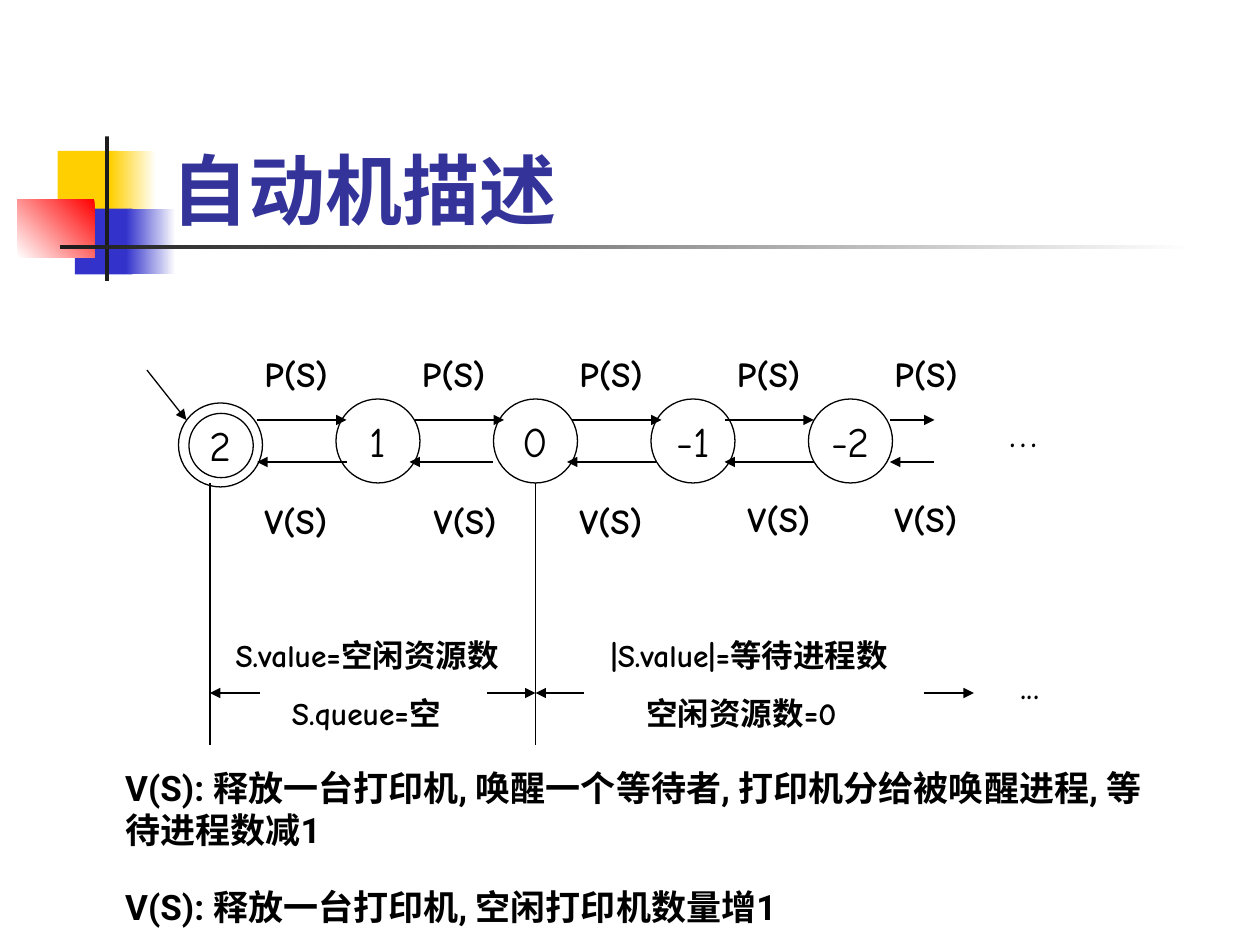
import lxml.etree
import pptx
import pptx.dml.color
import pptx.enum.shapes
import pptx.enum.text
import pptx.oxml.ns
import pptx.util

PX = 9525
BLACK = pptx.dml.color.RGBColor(0x00, 0x00, 0x00)
WHITE = pptx.dml.color.RGBColor(0xFF, 0xFF, 0xFF)
CHARCOAL = pptx.dml.color.RGBColor(0x1C, 0x1C, 0x1C)
YELLOW = pptx.dml.color.RGBColor(0xFF, 0xCF, 0x01)
BLUE = pptx.dml.color.RGBColor(0x33, 0x33, 0xCC)
RED = pptx.dml.color.RGBColor(0xFF, 0x00, 0x00)
INDIGO = pptx.dml.color.RGBColor(0x33, 0x33, 0x99)
HAND = "Comic Neue"
SANS = "Roboto"

ALIGN = pptx.enum.text.PP_ALIGN
ANCHOR = pptx.enum.text.MSO_ANCHOR
SHAPE = pptx.enum.shapes.MSO_SHAPE
qn = pptx.oxml.ns.qn


def emu(*lengths):
    return [pptx.util.Emu(n * PX) for n in lengths]


def write_text(tf, text, size=20, font=HAND, color=BLACK, bold=False,
               align=ALIGN.LEFT, anchor=ANCHOR.TOP, wrap=True, gap=0, indent=0):
    tf.word_wrap = wrap
    tf.vertical_anchor = anchor
    for i, line in enumerate(text.split("\n")):
        p = tf.add_paragraph() if i else tf.paragraphs[0]
        p.alignment = align
        if i:
            p.space_before = pptx.util.Pt(gap)
            p._p.get_or_add_pPr().set("marL", str(indent * PX))
        r = p.add_run()
        r.text = line
        r.font.size = pptx.util.Pt(size)
        r.font.bold = bold
        r.font.color.rgb = color
        r.font.name = font
        ea = lxml.etree.SubElement(r._r.get_or_add_rPr(), qn("a:ea"))
        ea.set("typeface", font)


class Board:
    line_width = pptx.util.Pt(0.75)

    def __init__(self, slide):
        self.s = slide

    def block(self, x, y, w, h, color, end=None, angle=180):
        sp = self.s.shapes.add_shape(SHAPE.RECTANGLE, *emu(x, y, w, h))
        sp.shadow.inherit = False
        sp.line.fill.background()
        if end is None:
            sp.fill.solid()
            sp.fill.fore_color.rgb = color
            return
        sp.fill.gradient()
        sp.fill.gradient_angle = angle
        for stop, position, rgb in zip(sp.fill.gradient_stops, (0, 1), (color, end)):
            stop.position = position
            stop.color.rgb = rgb

    def circle(self, x, y, d, text=None):
        sp = self.s.shapes.add_shape(SHAPE.OVAL, *emu(x, y, d, d))
        sp.shadow.inherit = False
        sp.fill.background()
        sp.line.color.rgb = BLACK
        sp.line.width = self.line_width
        if text:
            write_text(sp.text_frame, text, size=24, align=ALIGN.CENTER,
                       anchor=ANCHOR.MIDDLE, wrap=False)

    def text(self, x, y, w, h, text, **style):
        sp = self.s.shapes.add_textbox(*emu(x, y, w, h))
        write_text(sp.text_frame, text, **style)

    def line(self, x1, y1, x2, y2, arrow=True):
        cx = self.s.shapes.add_connector(
            pptx.enum.shapes.MSO_CONNECTOR.STRAIGHT, *emu(x1, y1, x2, y2))
        cx.line.color.rgb = BLACK
        cx.line.width = self.line_width
        if arrow:
            tail = lxml.etree.SubElement(cx.line._get_or_add_ln(), qn("a:tailEnd"))
            tail.set("type", "triangle")
        lxml.etree.SubElement(cx._element.spPr, qn("a:effectLst"))


def draw_header(board):
    board.block(44, 115, 46, 50, YELLOW)
    board.block(84, 115, 35, 50, WHITE, YELLOW)
    board.block(57, 159, 44, 50, BLUE)
    board.block(96, 159, 38, 50, WHITE, BLUE)
    board.block(13, 152, 59, 44, RED, WHITE, angle=225)
    board.block(80, 104, 3, 110, CHARCOAL)
    board.block(46, 187, 864, 3, WHITE, CHARCOAL)
    board.text(121, 64, 818, 120, "自动机描述", size=44, font=SANS,
               color=INDIGO, bold=True, anchor=ANCHOR.BOTTOM)


def draw_automaton(board):
    for i, state in enumerate(("2", "1", "0", "-1", "-2")):
        board.circle(136 + 120 * i, 304 if i else 307, 64, state)
    board.circle(144, 315, 49)
    board.line(112, 282, 142, 320)

    p_arrows = ((196, 264), (316, 384), (436, 504), (552, 620), (678, 712))
    v_arrows = ((264, 196), (376, 312), (500, 432), (620, 552), (712, 678))
    v_labels = ((192, 376), (321, 376), (432, 376), (560, 374), (672, 374))
    for i, (p_arrow, v_arrow, v_label) in enumerate(zip(p_arrows, v_arrows, v_labels)):
        board.line(p_arrow[0], 320, p_arrow[1], 320)
        board.line(v_arrow[0], 352, v_arrow[1], 352)
        board.text(192 + 120 * i, 264, 80, 42, "P(S)", bold=True)
        board.text(*v_label, 80, 42, "V(S)", bold=True)
    board.text(760, 304, 48, 48, "…", size=24)


def draw_ranges(board):
    for x in (160, 408):
        board.line(x, 368, x, 568, arrow=False)
    for start, end in ((198, 160), (371, 408), (445, 408), (704, 742)):
        board.line(start, 528, end, 528)
    board.text(170, 480, 242, 83, "S.value=空闲资源数\nS.queue=空",
               size=18, bold=True, gap=11.2, indent=43)
    board.text(456, 480, 266, 83, "|S.value|=等待进程数\n空闲资源数=0",
               size=18, bold=True, gap=11.2, indent=27)
    board.text(768, 496, 64, 48, "...", size=24)


def main():
    prs = pptx.Presentation()
    prs.slide_width, prs.slide_height = emu(960, 720)
    board = Board(prs.slides.add_slide(prs.slide_layouts[6]))
    draw_header(board)
    draw_automaton(board)
    draw_ranges(board)
    board.text(86, 579, 794, 132,
               "V(S): 释放一台打印机, 唤醒一个等待者, 打印机分给被唤醒进程, 等待进程数减1\n"
               "V(S): 释放一台打印机, 空闲打印机数量增1",
               font=SANS, bold=True, gap=20)
    prs.save("out.pptx")


if __name__ == "__main__":
    main()
